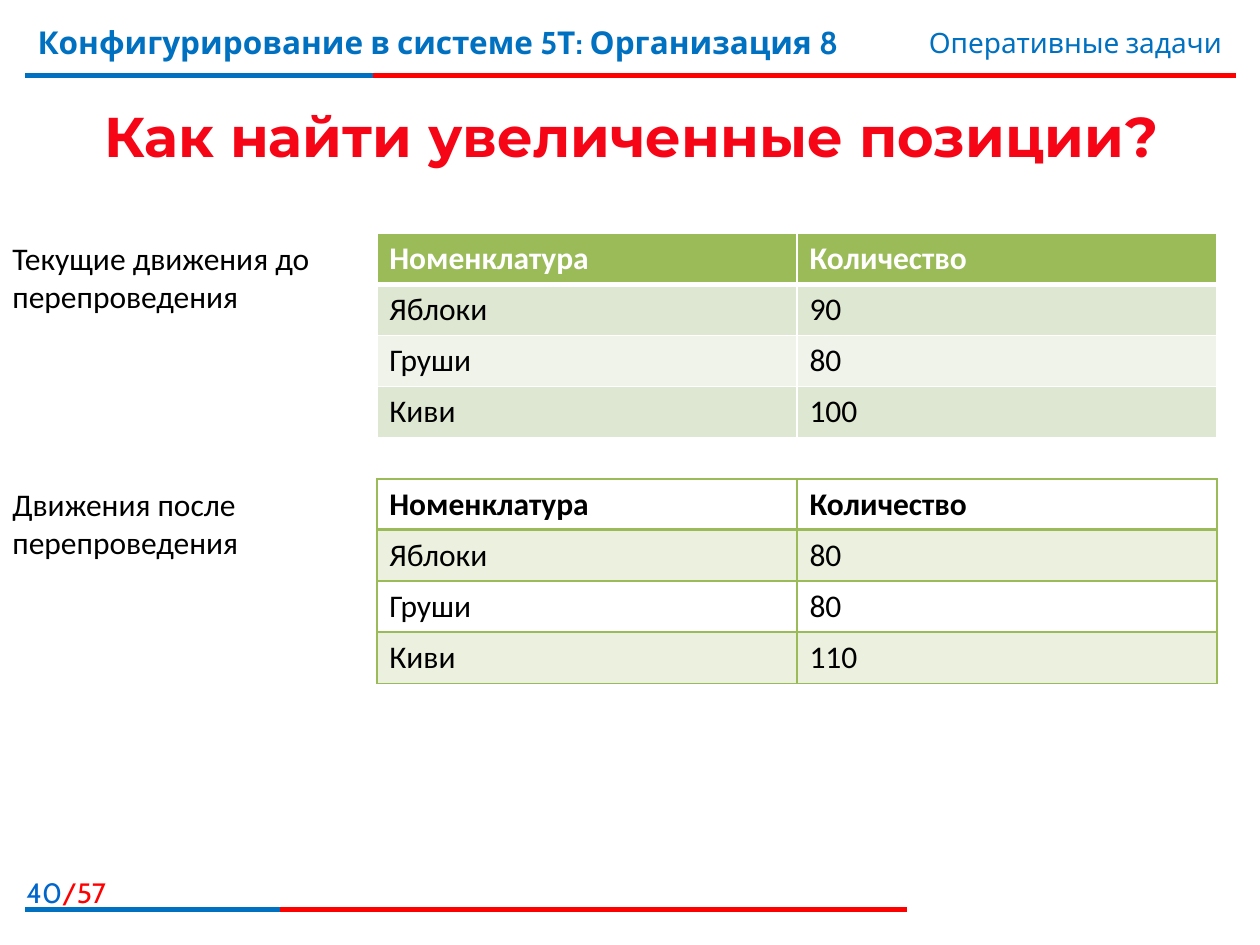
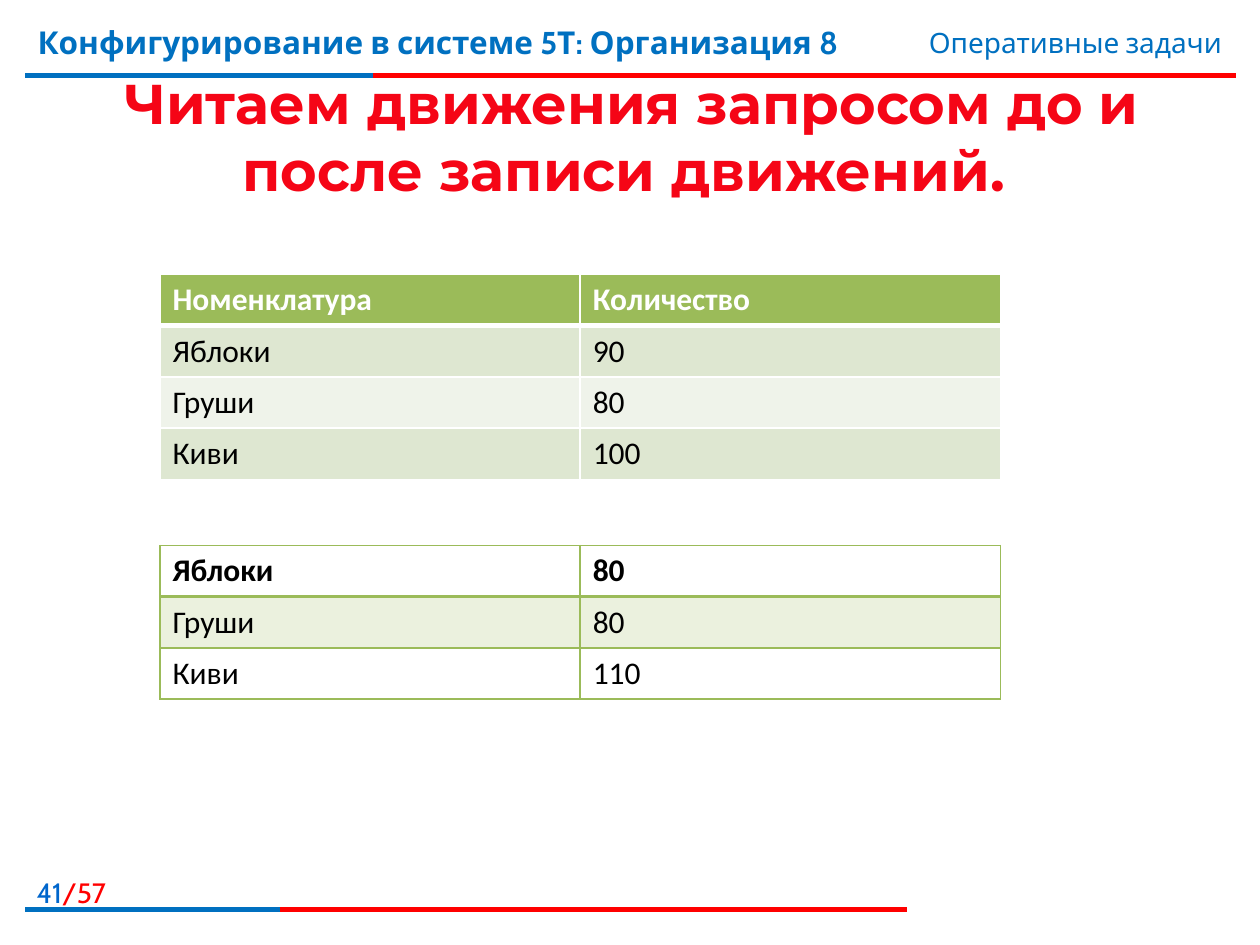
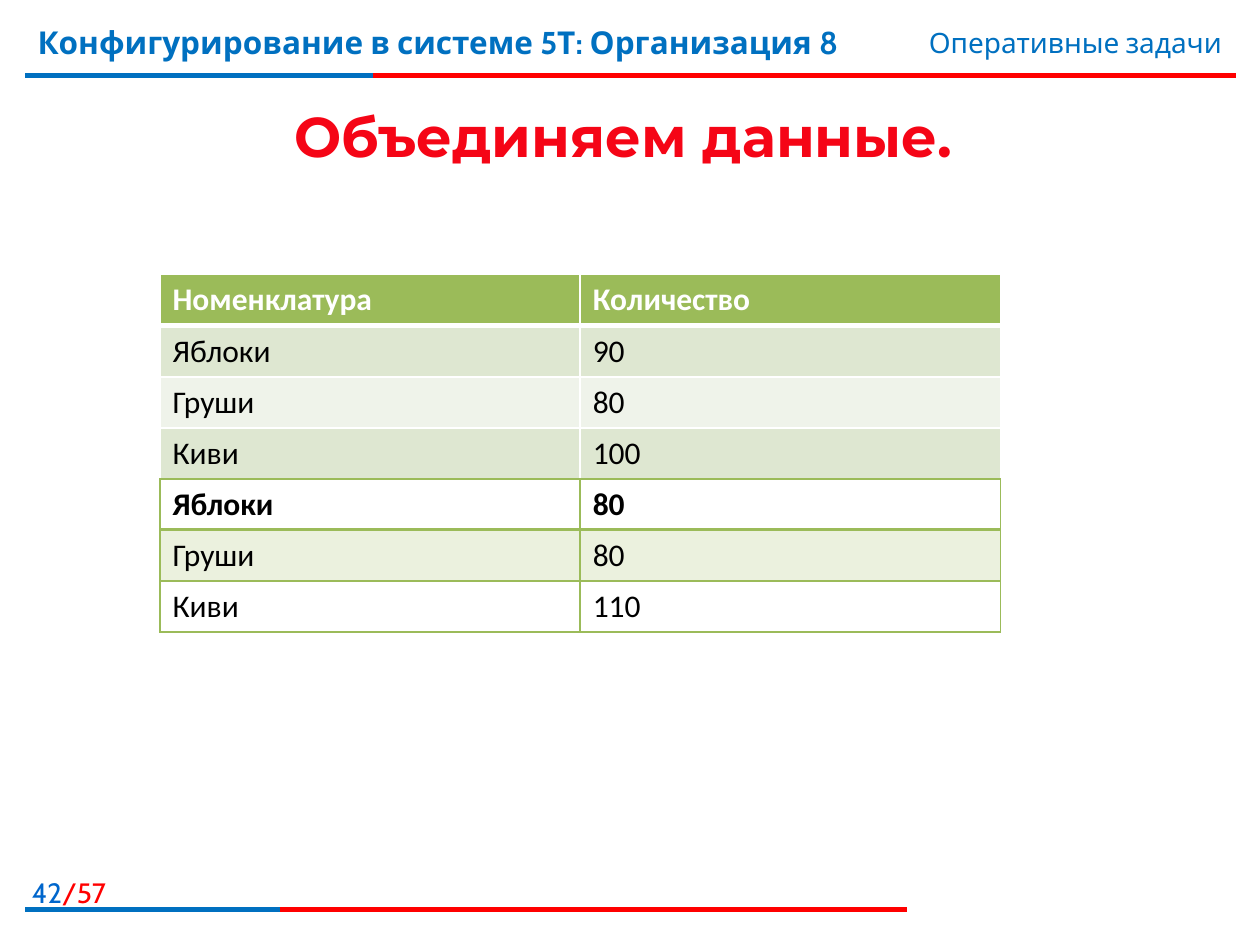
from dataclasses import dataclass

from lxml.etree import SubElement
from pptx import Presentation
from pptx.dml.color import RGBColor as Color
from pptx.enum.shapes import MSO_CONNECTOR as Connector
from pptx.enum.text import MSO_ANCHOR as Anchor, PP_ALIGN as Align
from pptx.oxml.ns import qn
from pptx.util import Inches, Pt

# The grid has ten columns and ten rows to the inch
COLUMNS, ROWS = 100, 75
WIDTH, HEIGHT = Inches(10), Inches(7.5)


@dataclass(frozen=True)
class TableLook:
    border: str
    header_fill: str | None
    header_text: str
    bands: tuple
    header_rule: float


@dataclass(frozen=True)
class Theme:
    blue: str = "0070C0"
    number_blue: str = "0066CC"
    red: str = "FF0000"
    title_red: str = "F50516"
    black: str = "000000"
    heading_font: str = "Montserrat"
    band_font: str = "Cabin"
    body_font: str = "Calibri"
    title_size: int = 32
    body_size: int = 18
    small_size: int = 16
    rule: float = 3
    thin: float = 1
    filled: TableLook = TableLook("FFFFFF", "9BBB59", "FFFFFF", ("DEE7D1", "EFF3EA"), 3)
    outlined: TableLook = TableLook("9BBB59", None, "000000", ("EBF1DE", None), 2)


THEME = Theme()

# Shared wording and data
COURSE = "Конфигурирование в системе 5Т: Организация 8"
SECTION = "Оперативные задачи"
PAGE_COUNT = 57
HEADER = ("Номенклатура", "Количество")
BEFORE = [("Яблоки", "90"), ("Груши", "80"), ("Киви", "100")]
AFTER = [("Яблоки", "80"), ("Груши", "80"), ("Киви", "110")]


def write(frame, *pieces, size=THEME.body_size, font=THEME.body_font,
          bold=False, align=Align.LEFT, anchor=Anchor.TOP):
    """Fill a text frame with one paragraph of (text, colour) pieces."""
    frame.word_wrap = True
    frame.vertical_anchor = anchor
    para = frame.paragraphs[0]
    para.alignment = align
    for text, color in pieces:
        span = para.add_run()
        span.text = text
        span.font.name = font
        span.font.size = Pt(size)
        span.font.bold = bold
        span.font.color.rgb = Color.from_string(color)


def set_border(cell, side, color, width):
    line = SubElement(cell._tc.get_or_add_tcPr(), qn(f"a:ln{side}"), w=str(Pt(width)))
    fill = SubElement(line, qn("a:solidFill"))
    SubElement(fill, qn("a:srgbClr"), val=color)


class Lesson:
    def __init__(self, theme):
        self.theme = theme
        self.deck = Presentation()
        self.deck.slide_width, self.deck.slide_height = WIDTH, HEIGHT
        self.page = None

    def across(self, columns):
        return round(WIDTH * columns / COLUMNS)

    def down(self, rows):
        return round(HEIGHT * rows / ROWS)

    def text(self, left, top, width, height, *pieces, **style):
        box = self.page.shapes.add_textbox(
            self.across(left), self.down(top), self.across(width), self.down(height))
        write(box.text_frame, *pieces, **style)

    def line(self, left, right, row, color):
        y = self.down(row)
        rule = self.page.shapes.add_connector(
            Connector.STRAIGHT, self.across(left), y, self.across(right), y)
        rule.line.color.rgb = Color.from_string(color)
        rule.line.width = Pt(self.theme.rule)
        SubElement(rule._element.spPr, qn("a:effectLst"))

    def two_color_rule(self, row, blue_end, red_end):
        self.line(2, red_end, row, self.theme.red)
        self.line(2, blue_end, row, self.theme.blue)

    def add_page(self, number, title):
        theme = self.theme
        self.page = self.deck.slides.add_slide(self.deck.slide_layouts[6])
        # Header and footer bands
        self.two_color_rule(6, 29.6, 98.1)
        self.two_color_rule(72.2, 22.2, 72)
        small = dict(size=theme.small_size, font=theme.band_font, align=Align.RIGHT)
        self.text(-1, 69, 10.4, 3.2, (str(number), theme.number_blue),
                  (f"/{PAGE_COUNT}", theme.red), **small)
        self.text(2, 1.3, 74, 6.2, (COURSE, theme.blue), font=theme.band_font, bold=True)
        self.text(59.4, 1.5, 38.6, 3.7, (SECTION, theme.blue), **small)
        # Title
        self.text(2.1, 6.3, 96.1, 8.9, (title, theme.title_red), size=theme.title_size,
                  font=theme.heading_font, bold=True, align=Align.CENTER,
                  anchor=Anchor.MIDDLE)

    def label(self, top, width, text):
        self.text(0, top, width, 7.1, (text, self.theme.black))

    def table(self, left, top, rows, look):
        row_height = 4.06
        grid = self.page.shapes.add_table(
            len(rows), len(HEADER), self.across(left), self.down(top),
            self.across(66.7), self.down(row_height * len(rows))).table
        grid.first_row = grid.horz_banding = False
        for r, row in enumerate(rows):
            is_header = r == 0
            fill = look.header_fill if is_header else look.bands[(r - 1) % 2]
            widths = dict(L=self.theme.thin, R=self.theme.thin,
                          T=look.header_rule if r == 1 else self.theme.thin,
                          B=look.header_rule if is_header else self.theme.thin)
            for c, value in enumerate(row):
                cell = grid.cell(r, c)
                for side, width in widths.items():
                    set_border(cell, side, look.border, width)
                if fill:
                    cell.fill.solid()
                    cell.fill.fore_color.rgb = Color.from_string(fill)
                else:
                    cell.fill.background()
                color = look.header_text if is_header else self.theme.black
                write(cell.text_frame, (value, color), bold=is_header)


def main():
    lesson = Lesson(THEME)

    # Movements before and after, side by side with their labels
    lesson.add_page(40, "Как найти увеличенные позиции?")
    lesson.table(29.9, 18.5, [HEADER, *BEFORE], THEME.filled)
    lesson.label(18.5, 26.5, "Текущие движения до перепроведения")
    lesson.table(29.9, 38, [HEADER, *AFTER], THEME.outlined)
    lesson.label(38, 22.8, "Движения после перепроведения")

    # The two query results apart, then joined
    for number, title, after_top in (
            (41, "Читаем движения запросом до и после записи движений. ", 43.3),
            (42, "Объединяем данные. ", 38)):
        lesson.add_page(number, title)
        lesson.table(12.7, 21.8, [HEADER, *BEFORE], THEME.filled)
        lesson.table(12.7, after_top, AFTER, THEME.outlined)

    lesson.deck.save("out.pptx")


if __name__ == "__main__":
    main()
